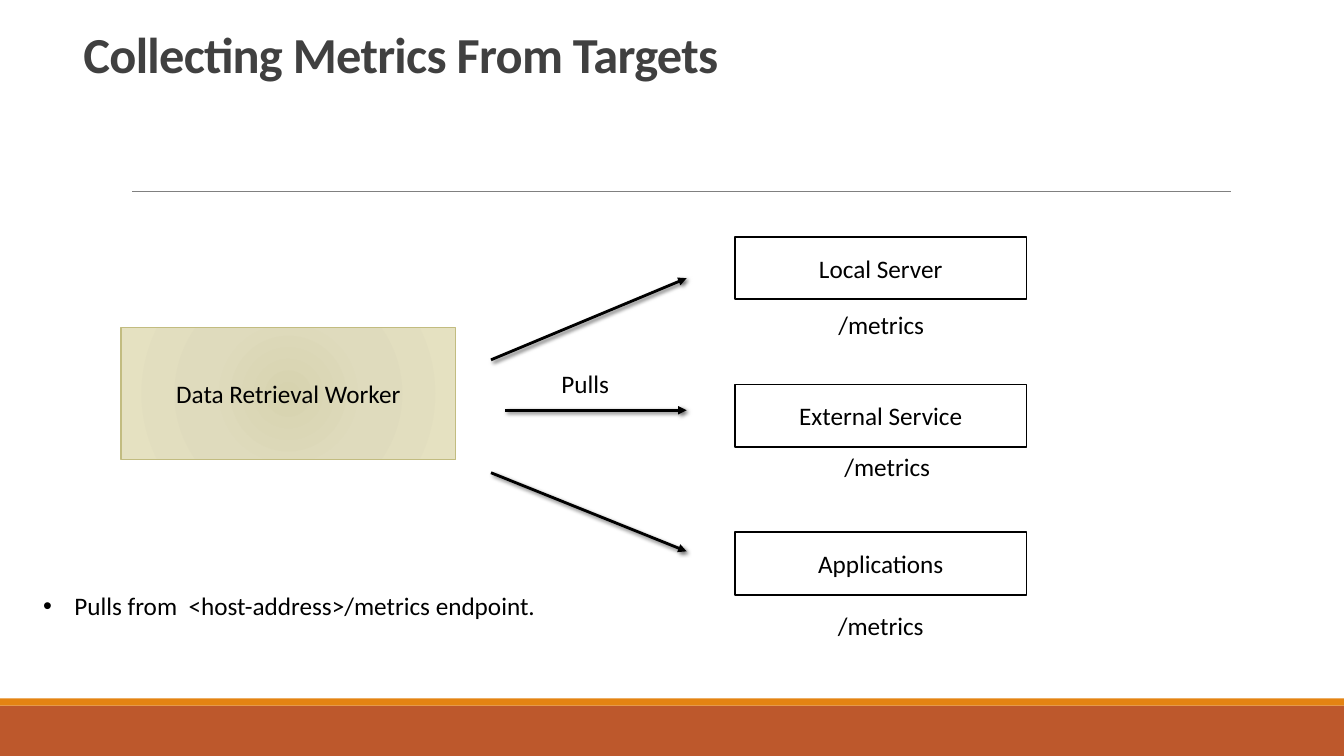
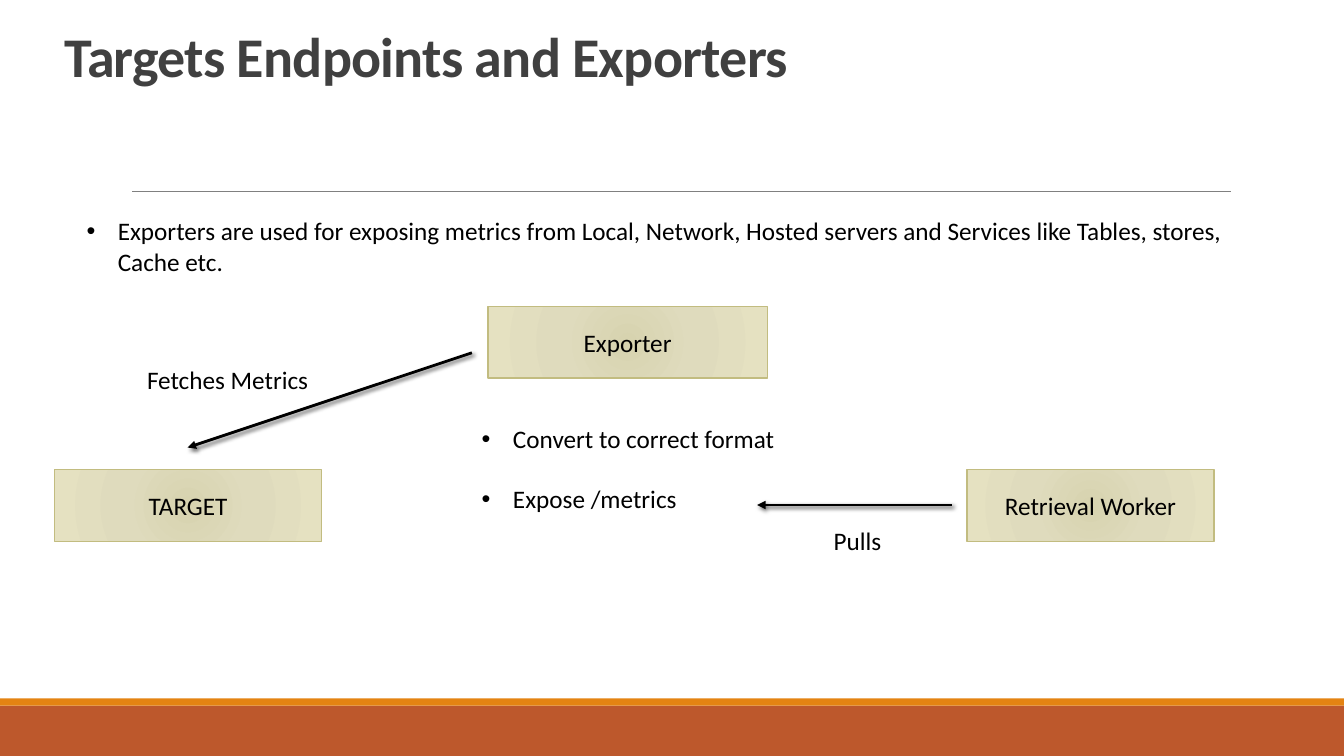
"""Build two slides on how metrics are collected from targets."""
import pptx
import pptx.dml.color
import pptx.enum.shapes
import pptx.enum.text
import pptx.oxml
import pptx.oxml.ns
import pptx.util

Inches = pptx.util.Inches
Pt = pptx.util.Pt
RGBColor = pptx.dml.color.RGBColor
MSO_SHAPE = pptx.enum.shapes.MSO_SHAPE
MSO_ANCHOR = pptx.enum.text.MSO_ANCHOR
PP_ALIGN = pptx.enum.text.PP_ALIGN

BLACK = RGBColor(0x00, 0x00, 0x00)
WHITE = RGBColor(0xFF, 0xFF, 0xFF)
TITLE_GREY = RGBColor(0x40, 0x40, 0x40)
RULE_GREY = RGBColor(0x80, 0x80, 0x80)
RUST = RGBColor(0xBD, 0x58, 0x2C)
ORANGE = RGBColor(0xE4, 0x83, 0x12)
KHAKI = RGBColor(0xC2, 0xBC, 0x80)
KHAKI_STOPS = (
    (0, RGBColor(0xD7, 0xD3, 0xAF)),
    (45, RGBColor(0xDF, 0xDB, 0xBD)),
    (100, RGBColor(0xE5, 0xE1, 0xC1)),
)

BODY_FONT = {"name": "Calibri", "size": Pt(18)}
TITLE_FONT = {"name": "Calibri", "bold": True}
BULLET_INDENT = Inches(0.31)
BULLET_GAP = Pt(21.5)
LABEL_HEIGHT = 0.4


def set_format(target, values):
    for name, value in values.items():
        setattr(target, name, value)


def make_element(markup):
    namespace = pptx.oxml.ns.nsdecls("a")
    return pptx.oxml.parse_xml(markup.replace(">", f" {namespace}>", 1))


def write_paragraph(para, text, align=PP_ALIGN.LEFT, font=BODY_FONT, color=BLACK):
    para.alignment = align
    span = para.add_run()
    span.text = text
    set_format(span.font, font)
    span.font.color.rgb = color
    return span


def add_rectangle(page, left, top, width, height, fill):
    box = page.shapes.add_shape(
        MSO_SHAPE.RECTANGLE, Inches(left), Inches(top), Inches(width), Inches(height)
    )
    box.shadow.inherit = False
    box.fill.solid()
    box.fill.fore_color.rgb = fill
    box.line.fill.background()
    return box


def add_node(page, text, left, top, width, height, line_color=BLACK, line_width=1.25):
    box = add_rectangle(page, left, top, width, height, WHITE)
    box.line.color.rgb = line_color
    box.line.width = Pt(line_width)
    box.text_frame.vertical_anchor = MSO_ANCHOR.MIDDLE
    write_paragraph(box.text_frame.paragraphs[0], text, PP_ALIGN.CENTER)
    return box


def add_khaki_node(page, text, left, top, width, height):
    box = add_node(page, text, left, top, width, height, KHAKI, 1)
    stops = "".join(
        f'<a:gs pos="{place * 1000}"><a:srgbClr val="{color}"/></a:gs>'
        for place, color in KHAKI_STOPS
    )
    gradient = make_element(
        f"<a:gradFill><a:gsLst>{stops}</a:gsLst>"
        '<a:path path="circle"><a:fillToRect l="100000" t="100000" r="100000" b="100000"/>'
        "</a:path></a:gradFill>"
    )
    properties = box._element.spPr
    properties.replace(properties.find(pptx.oxml.ns.qn("a:solidFill")), gradient)


def add_text_box(page, left, top, width, height):
    box = page.shapes.add_textbox(
        Inches(left), Inches(top), Inches(width), Inches(height)
    )
    box.text_frame.word_wrap = True
    return box.text_frame


def add_label(page, text, left, top, width, align=PP_ALIGN.LEFT):
    frame = add_text_box(page, left, top, width, LABEL_HEIGHT)
    write_paragraph(frame.paragraphs[0], text, align)


def add_bullets(page, texts, left, top, width, height):
    frame = add_text_box(page, left, top, width, height)
    for index, text in enumerate(texts):
        para = frame.add_paragraph() if index else frame.paragraphs[0]
        write_paragraph(para, text)
        if index:
            para.space_before = BULLET_GAP
        properties = para._p.get_or_add_pPr()
        properties.set("marL", str(BULLET_INDENT))
        properties.set("indent", str(-BULLET_INDENT))
        properties.append(make_element('<a:buFont typeface="Arial"></a:buFont>'))
        properties.append(make_element('<a:buChar char="•"></a:buChar>'))


def add_line(page, start, end, color, width, effect=""):
    line = page.shapes.add_connector(
        pptx.enum.shapes.MSO_CONNECTOR.STRAIGHT,
        *(Inches(length) for length in (*start, *end)),
    )
    line.line.color.rgb = color
    line.line.width = Pt(width)
    line._element.spPr.append(make_element(f"<a:effectLst>{effect}</a:effectLst>"))
    return line


def add_arrow(page, start, end):
    shadow = (
        f'<a:outerShdw blurRad="{Pt(3)}" dist="{Pt(2)}" dir="2700000" rotWithShape="0">'
        f'<a:srgbClr val="{BLACK}"><a:alpha val="60000"/></a:srgbClr></a:outerShdw>'
    )
    arrow = add_line(page, start, end, BLACK, 2, shadow)
    outline = arrow.line._get_or_add_ln()
    outline.append(make_element('<a:tailEnd type="triangle"></a:tailEnd>'))


def add_page(deck, title, left, top, height, size):
    page = deck.slides.add_slide(deck.slide_layouts[6])
    add_rectangle(page, 0, 7, 13.33, 0.5, RUST)
    add_rectangle(page, 0, 6.93, 13.33, 0.07, ORANGE)
    add_line(page, (1.31, 1.9), (12.21, 1.9), RULE_GREY, 0.5)
    frame = add_text_box(page, left, top, 11, height)
    frame.vertical_anchor = MSO_ANCHOR.BOTTOM
    para = frame.paragraphs[0]
    para.line_spacing = 0.85
    font = {**TITLE_FONT, "size": Pt(size)}
    span = write_paragraph(para, title, font=font, color=TITLE_GREY)
    span._r.get_or_add_rPr().set("spc", "-50")
    return page


def build_collecting_page(deck):
    page = add_page(deck, "Collecting Metrics From Targets", 0.73, 0.26, 0.62, 36)
    add_khaki_node(page, "Data Retrieval Worker", 1.2, 3.25, 3.32, 1.31)
    targets = (
        ("Local Server", 7.77, 3.02, 1.94),
        ("External Service", 8.03, 4.43, 1.54),
        ("Applications", 7.94, 6.01, 1.59),
    )
    for index, (name, left, top, width) in enumerate(targets):
        add_node(page, name, 7.29, 2.35 + index * 1.465, 2.89, 0.62)
        add_label(page, "/metrics", left, top, width, PP_ALIGN.CENTER)
    for start, end_height in (((4.87, 3.57), 2.76), ((5.01, 4.07), 4.07), ((4.87, 4.69), 5.47)):
        add_arrow(page, start, (6.81, end_height))
    add_label(page, "Pulls", 5.47, 3.61, 0.76)
    endpoint = "Pulls from  <host-address>/metrics endpoint."
    add_bullets(page, [endpoint], 0.33, 5.81, 5.34, 0.4)


def build_exporters_page(deck):
    page = add_page(deck, "Targets Endpoints and Exporters", 0.54, 0.21, 0.72, 40)
    purpose = (
        "Exporters are used for exposing metrics from Local, Network, Hosted servers "
        "and Services like Tables, stores, Cache etc."
    )
    add_bullets(page, [purpose], 0.76, 2.09, 11.52, 0.71)
    for name, left, top, width in (
        ("TARGET", 0.54, 4.66, 2.65),
        ("Exporter", 4.84, 3.04, 2.77),
        ("Retrieval Worker", 9.59, 4.66, 2.45),
    ):
        add_khaki_node(page, name, left, top, width, 0.71)
    add_arrow(page, (4.68, 3.5), (1.86, 4.44))
    add_arrow(page, (9.44, 5.01), (7.51, 5.01))
    add_label(page, "Fetches Metrics", 1.36, 3.57, 2.11)
    add_label(page, "Pulls", 8.17, 5.16, 0.75)
    steps = ["Convert to correct format", "Expose /metrics"]
    add_bullets(page, steps, 4.68, 4.15, 3.27, 1.01)


def main():
    deck = pptx.Presentation()
    deck.slide_width = Inches(13.33)
    deck.slide_height = Inches(7.5)
    build_collecting_page(deck)
    build_exporters_page(deck)
    deck.save("out.pptx")


if __name__ == "__main__":
    main()
